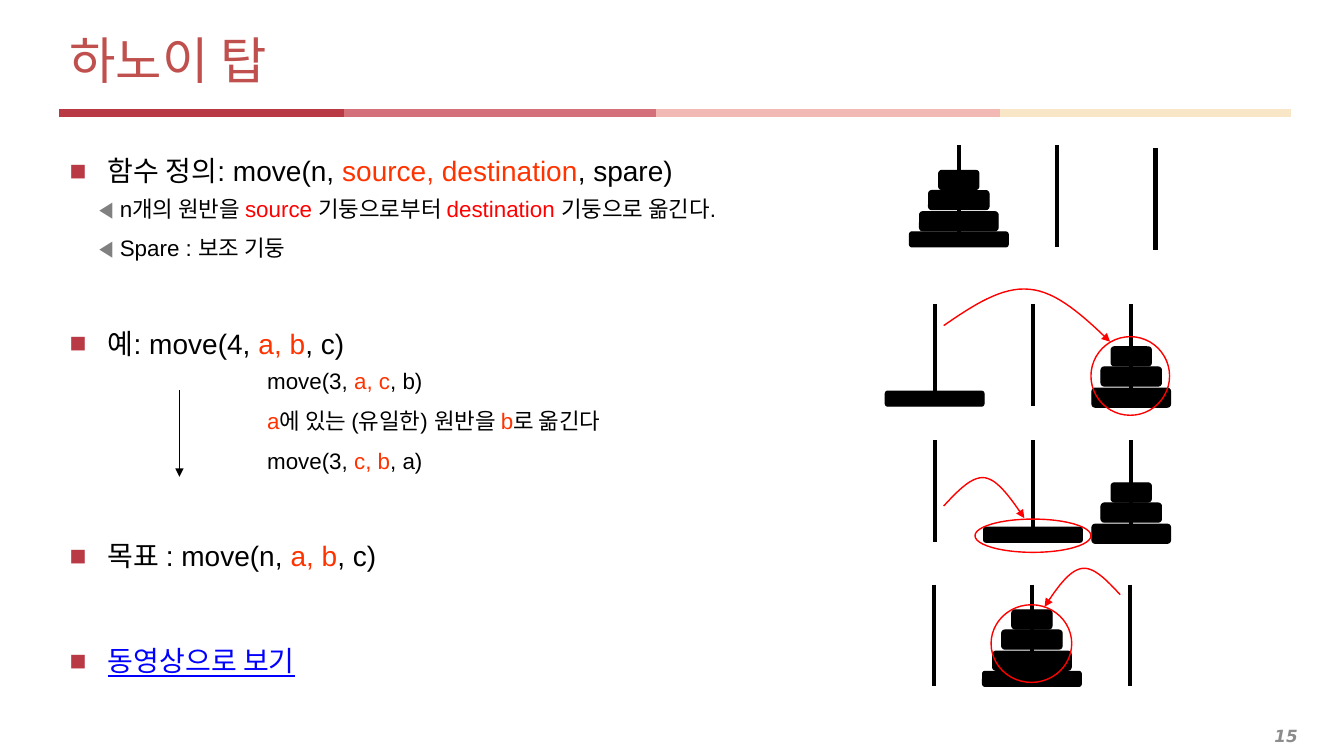
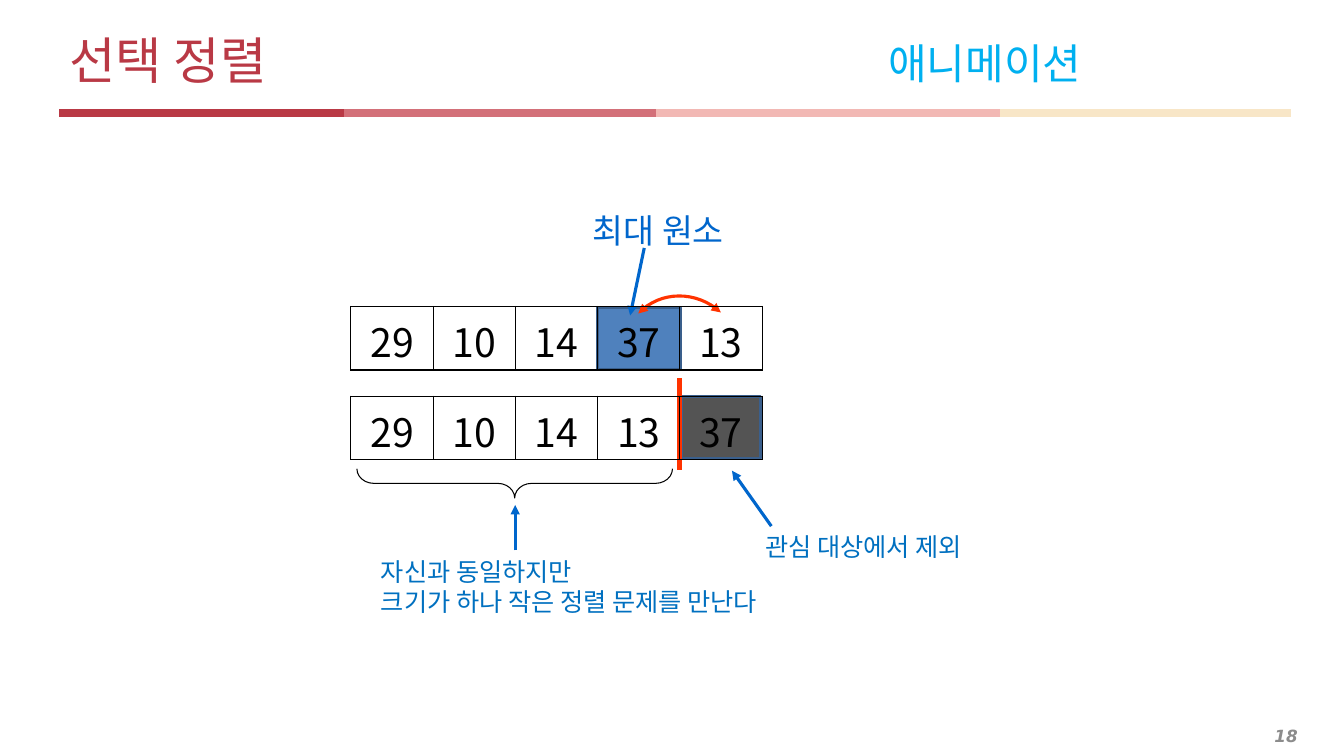
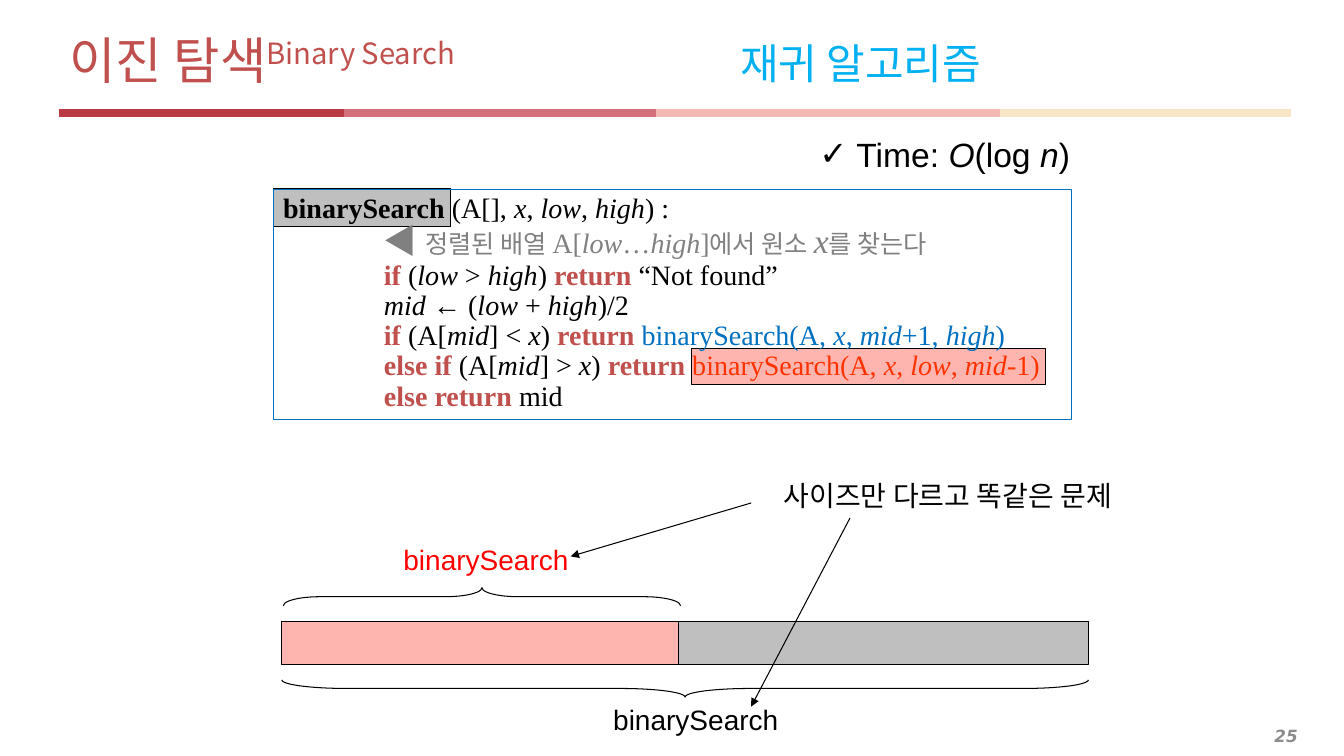
from dataclasses import dataclass
from typing import Any, Optional

import lxml.etree
import pptx
import pptx.dml.color
import pptx.enum.shapes
import pptx.enum.text
import pptx.oxml.ns
import pptx.util

Inches = pptx.util.Inches
Pt = pptx.util.Pt
qn = pptx.oxml.ns.qn
SHAPE = pptx.enum.shapes.MSO_SHAPE
ALIGN = pptx.enum.text.PP_ALIGN
ANCHOR = pptx.enum.text.MSO_ANCHOR
AUTO_SIZE = pptx.enum.text.MSO_AUTO_SIZE

KOREAN = "Noto Sans CJK KR"
COLORS = {
    "black": "000000", "gray": "808080", "silver": "BFBFBF", "charcoal": "545454",
    "number": "8C8C8C", "crimson": "B93945", "rose": "D37079", "blush": "F2B8B4",
    "cream": "F8E6C7", "brick": "C0504D", "orange": "FF3300", "red": "FF0000",
    "pink": "FFB5AF", "link": "0000FF", "blue": "0070C0", "arrow": "0066CC",
    "sky": "00B0F0", "steel": "4F81BD", "navy": "3A5F8C",
}


@dataclass(frozen=True)
class Style:
    color: str
    bold: bool = False
    italic: bool = False
    underline: bool = False
    size: Optional[float] = None
    baseline: int = 0


STYLES = {
    "n": Style("black"),
    "i": Style("black", italic=True),
    "b": Style("black", bold=True),
    "k": Style("brick", bold=True),
    "o": Style("orange"),
    "oi": Style("orange", italic=True),
    "r": Style("red"),
    "u": Style("blue"),
    "ui": Style("blue", italic=True),
    "a": Style("arrow"),
    "g": Style("gray"),
    "gi": Style("gray", italic=True),
    "g18": Style("gray", size=18),
    "g24": Style("gray", size=24),
    "gi24": Style("gray", italic=True, size=24),
    "link": Style("link", underline=True),
    "page": Style("number", bold=True, italic=True),
    "t": Style("brick"),
    "tc": Style("crimson"),
    "sup": Style("brick", baseline=30000),
    "side": Style("sky", size=30),
}


@dataclass(frozen=True)
class Item:
    markup: str
    level: int = 0
    indent: float = 0.29
    gap: float = 0


@dataclass(frozen=True)
class Stage:
    left: float
    top: float
    stacks: dict[int, tuple[int, ...]]
    last_peg_drop: float = 0


@dataclass(frozen=True)
class Disc:
    width: float
    height: float
    offset: float


@dataclass(frozen=True)
class Band:
    start: float
    end: float
    color: str


BANDS = (Band(0.59, 3.41, "crimson"), Band(3.41, 6.51, "rose"),
         Band(6.51, 9.92, "blush"), Band(9.92, 12.8, "cream"))
DISCS = (Disc(0.98, 0.15, 0.86), Disc(0.78, 0.19, 0.66),
         Disc(0.6, 0.19, 0.45), Disc(0.4, 0.19, 0.25))
PEG_GAP = 1.95 / 2
PEG_HEIGHT = 1.01
MISSING_BASE_DROP = 0.17
STAGES = (
    Stage(9.51, 1.44, {0: (0, 1, 2, 3)}, 0.03),
    Stage(9.27, 3.02, {0: (0,), 2: (1, 2, 3)}),
    Stage(9.27, 4.37, {1: (0,), 2: (1, 2, 3)}),
    Stage(9.26, 5.8, {1: (0, 1, 2, 3)}),
)
MOVES = (
    ((9.36, 3.23), (9.65, 3.03), (9.94, 2.84), (10.21, 2.87),
     (10.48, 2.89), (10.75, 3.14), (11.01, 3.39)),
    ((9.36, 5.02), (9.5, 4.87), (9.64, 4.72), (9.77, 4.74),
     (9.9, 4.76), (10.03, 4.95), (10.16, 5.14)),
    ((11.11, 5.9), (10.98, 5.76), (10.85, 5.62), (10.73, 5.64),
     (10.6, 5.66), (10.48, 5.84), (10.36, 6.02)),
)
HIGHLIGHTS = ((10.82, 3.34, 0.78, 0.78), (9.83, 6, 0.8, 0.77), (9.67, 5.15, 1.15, 0.33))
HANOI_ITEMS = (
    Item("n:함수 정의: move(n, |o:source, destination|n:, spare)"),
    Item("g:◀ |n:n개의 원반을 |r:source |n:기둥으로부터 |r:destination |n:기둥으로 옮긴다.", 1),
    Item("g:◀ |n:Spare : 보조 기둥", 1, gap=28.5),
    Item("n:예: move(4, |o:a, b|n:, c)"),
    Item("n:move(3, |o:a, c|n:, b)", 1, 1.96),
    Item("o:a|n:에 있는 (유일한) 원반을 |o:b|n:로 옮긴다", 1, 1.96),
    Item("n:move(3, |o:c, b|n:, a)", 1, 1.96, 28.5),
    Item("n:목표 : move(n, |o:a, b|n:, c)", gap=37),
    Item("link:동영상으로 보기"),
)
CODE_LINES = (
    "b:binarySearch|n: (A[], |i:x|n:, |i:low|n:, |i:high|n:) :",
    "g24:◀ |g18:정렬된 배열 |g:A[|gi:low|g:…|gi:high|g:]|g18:에서 원소 |gi24:x|g18:를 찾는다",
    "k:if|n: (|i:low|n: > |i:high|n:) |k:return |n:“Not found”",
    "i:mid|n: ← (|i:low|n: + |i:high|n:)/2",
    "k:if|n: (A[|i:mid|n:] < |i:x|n:) |k:return |u:binarySearch(A, |ui:x|u:, |ui:mid|u:+1, |ui:high|u:)",
    "k:else if |n:(A[|i:mid|n:] > |i:x|n:) |k:return |o:binarySearch(A, |oi:x|o:, |oi:low|o:, |oi:mid|o:-1)",
    "k:else return|n: mid",
)


def rgb(name: str) -> pptx.dml.color.RGBColor:
    return pptx.dml.color.RGBColor.from_string(COLORS[name])


def add_child(parent: Any, tag: str, **attributes: str) -> Any:
    return lxml.etree.SubElement(parent, qn(tag), **attributes)


def write(para: Any, markup: str, size: float, font: str) -> None:
    for part in markup.split("|"):
        key, _, text = part.partition(":")
        style = STYLES[key]
        span = para.add_run()
        span.text = text
        span.font.size = Pt(style.size or size)
        span.font.bold = style.bold
        span.font.italic = style.italic
        span.font.underline = style.underline
        span.font.color.rgb = rgb(style.color)
        span.font.name = font
        properties = span._r.get_or_add_rPr()
        if font == KOREAN:
            add_child(properties, "a:ea", typeface=font)
        if style.baseline:
            properties.set("baseline", str(style.baseline))


def set_indent(para: Any, left: float, first: float = 0) -> Any:
    properties = para._p.get_or_add_pPr()
    properties.set("marL", str(Inches(left)))
    properties.set("indent", str(Inches(first)))
    return properties


def set_bullet(properties: Any, mark: str, color: str) -> None:
    fill = add_child(properties, "a:buClr")
    add_child(fill, "a:srgbClr", val=COLORS[color])
    add_child(properties, "a:buFont", typeface="Arial")
    add_child(properties, "a:buChar", char=mark)


def set_arrows(shape: Any, head: bool, tail: bool) -> None:
    outline = shape.element.spPr.find(qn("a:ln"))
    if head:
        add_child(outline, "a:headEnd", type="triangle")
    if tail:
        add_child(outline, "a:tailEnd", type="triangle")


def add_line(page: Any, start: tuple[float, float], end: tuple[float, float],
             color: str, width: float, arrow: bool = False) -> None:
    line = page.shapes.add_connector(
        pptx.enum.shapes.MSO_CONNECTOR.STRAIGHT, *map(Inches, start + end))
    line.line.color.rgb = rgb(color)
    line.line.width = Pt(width)
    set_arrows(line, False, arrow)
    add_child(line.element.spPr, "a:effectLst")


def paint(shape: Any, fill: Optional[str], color: str, width: float) -> None:
    shape.shadow.inherit = False
    if fill:
        shape.fill.solid()
        shape.fill.fore_color.rgb = rgb(fill)
    else:
        shape.fill.background()
    shape.line.color.rgb = rgb(color)
    shape.line.width = Pt(width)


def add_box(page: Any, kind: Any, place: tuple[float, float, float, float],
            fill: Optional[str], color: str = "black", width: float = 0.75) -> Any:
    box = page.shapes.add_shape(kind, *map(Inches, place))
    paint(box, fill, color, width)
    return box


def add_brace(page: Any, place: tuple[float, float, float, float],
              rotation: float, curve: float) -> None:
    brace = add_box(page, SHAPE.LEFT_BRACE, place, None)
    brace.rotation = rotation
    brace.adjustments[0] = curve


def add_curve(page: Any, points: tuple[tuple[float, float], ...],
              color: str, width: float, head: bool = False) -> None:
    steps = 16
    vertices = []
    for first in range(0, len(points) - 1, 3):
        a, b, c, d = points[first:first + 4]
        for step in range(1, steps + 1):
            t = step / steps
            s = 1 - t
            vertices.append(tuple(
                Inches(s ** 3 * a[k] + 3 * s * s * t * b[k] + 3 * s * t * t * c[k] + t ** 3 * d[k])
                for k in (0, 1)))
    builder = page.shapes.build_freeform(Inches(points[0][0]), Inches(points[0][1]))
    builder.add_line_segments(vertices, close=False)
    curve = builder.convert_to_shape()
    paint(curve, None, color, width)
    set_arrows(curve, head, True)


def add_label(page: Any, place: tuple[float, float, float, float], lines: tuple[str, ...],
              size: float, font: str, align: Any = ALIGN.LEFT) -> Any:
    frame = page.shapes.add_textbox(*map(Inches, place)).text_frame
    frame.word_wrap = False
    frame.auto_size = AUTO_SIZE.SHAPE_TO_FIT_TEXT
    for index, markup in enumerate(lines):
        para = frame.add_paragraph() if index else frame.paragraphs[0]
        para.alignment = align
        write(para, markup, size, font)
    return frame


def add_page(deck: Any, layout: int, number: int, title: str, tab: float = 0) -> Any:
    page = deck.slides.add_slide(deck.slide_layouts[layout])
    for band in BANDS:
        add_line(page, (band.start, 1.12), (band.end, 1.12), band.color, 6)
    footer = add_label(page, (0.2, 7.14, 12.77, 0.31), (f"page:{number}",), 12,
                       "DejaVu Sans", ALIGN.RIGHT)
    footer.word_wrap = True
    footer.auto_size = AUTO_SIZE.NONE
    footer.vertical_anchor = ANCHOR.MIDDLE
    frame = page.shapes.title.text_frame
    frame.auto_size = AUTO_SIZE.NONE
    frame.vertical_anchor = ANCHOR.MIDDLE
    para = frame.paragraphs[0]
    para.alignment = ALIGN.LEFT
    if tab:
        stops = add_child(para._p.get_or_add_pPr(), "a:tabLst")
        add_child(stops, "a:tab", pos=str(Inches(tab)), algn="l")
    write(para, title, 36, KOREAN)
    return page


def add_items(frame: Any, items: tuple[Item, ...]) -> None:
    frame.auto_size = AUTO_SIZE.NONE
    for index, item in enumerate(items):
        para = frame.add_paragraph() if index else frame.paragraphs[0]
        para.level = item.level
        para.space_after = Pt((6 if item.level else 2) + item.gap)
        if item.level:
            add_child(set_indent(para, item.indent), "a:buNone")
        else:
            para.line_spacing = 1.5
            para.space_before = Pt(0)
            set_bullet(set_indent(para, 0.38, -0.38), "■", "crimson")
        write(para, item.markup, 16 if item.level else 20, "Arial")


def add_stage(page: Any, stage: Stage) -> None:
    pegs = [stage.left + peg * PEG_GAP for peg in range(3)]
    for peg, x in enumerate(pegs):
        top = stage.top + (stage.last_peg_drop if peg == 2 else 0)
        add_line(page, (x, top), (x, top + PEG_HEIGHT), "black", 3)
    for peg, stack in stage.stacks.items():
        drop = MISSING_BASE_DROP if stack[0] else 0
        for disc in (DISCS[size] for size in stack):
            place = (pegs[peg] - disc.width / 2, stage.top + disc.offset + drop,
                     disc.width, disc.height)
            add_box(page, SHAPE.ROUNDED_RECTANGLE, place, "black")


def add_array(page: Any, top: float, values: tuple[int, ...]) -> None:
    frame = page.shapes.add_table(
        1, len(values), Inches(3.48), Inches(top), Inches(4.08), Inches(0.63))
    table = frame.table
    table.first_row = False
    table.horz_banding = False
    for cell, value in zip(table.rows[0].cells, values):
        cell.margin_top = Inches(0.05)
        cell.margin_bottom = Inches(0)
        cell.vertical_anchor = ANCHOR.MIDDLE
        para = cell.text_frame.paragraphs[0]
        para.alignment = ALIGN.CENTER
        write(para, f"n:{value}", 28, KOREAN)
        properties = cell._tc.get_or_add_tcPr()
        for side in ("a:lnL", "a:lnR", "a:lnT", "a:lnB"):
            border = add_child(properties, side, w=str(Pt(1)))
            add_child(add_child(border, "a:solidFill"), "a:srgbClr", val=COLORS["black"])
        cell.fill.background()


def build_hanoi(deck: Any) -> None:
    page = add_page(deck, 1, 15, "t:하노이 탑")
    add_items(page.placeholders[1].text_frame, HANOI_ITEMS)
    add_line(page, (1.78, 3.87), (1.78, 4.73), "black", 0.75, True)
    for stage in STAGES:
        add_stage(page, stage)
    for move in MOVES:
        add_curve(page, move, "red", 1)
    for place in HIGHLIGHTS:
        add_box(page, SHAPE.OVAL, place, None, "red", 1)


def build_selection_sort(deck: Any) -> None:
    page = add_page(deck, 5, 18, "tc:선택 정렬|side:\t애니메이션", 8.12)
    add_box(page, SHAPE.RECTANGLE, (6.76, 3.93, 0.78, 0.62), "charcoal", "navy", 2)
    add_line(page, (6.74, 3.75), (6.74, 4.66), "orange", 3)
    add_label(page, (7.49, 5.22, 2.4, 0.4), ("u:관심 대상에서 제외",), 18, KOREAN)
    add_line(page, (7.65, 5.22), (7.26, 4.67), "arrow", 2.25, True)
    add_array(page, 3.93, (29, 10, 14, 13, 37))
    add_box(page, SHAPE.RECTANGLE, (5.93, 3.05, 0.82, 0.62), "steel", "navy", 2)
    add_label(page, (5.78, 2.03, 1.64, 0.51), ("a:최대 원소",), 24, "Arial")
    add_line(page, (6.39, 2.46), (6.25, 3.13), "arrow", 2.25, True)
    add_curve(page, ((6.33, 3.11), (6.55, 2.88), (6.91, 2.88), (7.15, 3.1)),
              "orange", 2.25, True)
    add_array(page, 3.04, (29, 10, 14, 37, 13))
    add_label(page, (3.68, 5.47, 4.44, 0.71),
              ("u:자신과 동일하지만", "u:크기가 하나 작은 정렬 문제를 만난다"), 18, KOREAN)
    add_line(page, (5.11, 5.46), (5.11, 5.01), "arrow", 2.25, True)
    add_brace(page, (4.96, 3.23, 0.29, 3.13), 270, 0.58)


def build_binary_search(deck: Any) -> None:
    page = add_page(deck, 5, 25, "t:이진 탐색|sup:Binary Search|side:\t재귀 알고리즘", 6.65)
    add_box(page, SHAPE.RECTANGLE, (2.8, 6.17, 8, 0.42), "silver")
    add_box(page, SHAPE.RECTANGLE, (2.71, 1.87, 1.76, 0.38), "silver")
    add_label(page, (5.97, 6.92, 1.85, 0.44), ("n:binarySearch",), 20, "Arial", ALIGN.RIGHT)
    add_brace(page, (6.71, 2.83, 0.17, 8), 270, 3.79)
    add_box(page, SHAPE.RECTANGLE, (6.86, 3.46, 3.51, 0.36), "pink")
    add_box(page, SHAPE.RECTANGLE, (2.79, 6.17, 3.94, 0.42), "pink")
    add_label(page, (3.88, 5.33, 1.86, 0.44), ("r:binarySearch",), 20, "Arial", ALIGN.RIGHT)
    add_brace(page, (4.69, 3.95, 0.18, 3.94), 90, 2)
    frame = add_box(page, SHAPE.RECTANGLE, (2.71, 1.88, 7.92, 2.28), None, "blue").text_frame
    frame.word_wrap = True
    frame.vertical_anchor = ANCHOR.TOP
    for index, markup in enumerate(CODE_LINES):
        para = frame.add_paragraph() if index else frame.paragraphs[0]
        para.alignment = ALIGN.LEFT
        para.line_spacing = 0.9
        set_indent(para, 1 if index else 0)
        write(para, markup, 20, "Times New Roman")
    add_label(page, (7.33, 4.7, 3.8, 0.44), ("n:사이즈만 다르고 똑같은 문제",), 20,
              "Arial", ALIGN.RIGHT)
    add_line(page, (7.45, 4.99), (5.66, 5.52), "black", 0.75, True)
    add_line(page, (8.43, 5.14), (7.45, 7.01), "black", 0.75, True)
    time = add_label(page, (8.02, 1.28, 2.69, 0.5), ("n: Time: |i:O|n:(log |i:n|n:)",), 24,
                     "Arial", ALIGN.RIGHT)
    set_bullet(set_indent(time.paragraphs[0], 0.25, -0.25), "✓", "black")


def main() -> None:
    deck = pptx.Presentation()
    deck.slide_width = Inches(13.33)
    deck.slide_height = Inches(7.5)
    places = ((0.59, 0.25, 12.21, 0.68), (0.59, 1.31, 12.21, 5.9))
    for holder, place in zip(deck.slide_master.placeholders, places):
        holder.left, holder.top, holder.width, holder.height = map(Inches, place)
    build_hanoi(deck)
    build_selection_sort(deck)
    build_binary_search(deck)
    deck.save("out.pptx")


if __name__ == "__main__":
    main()
